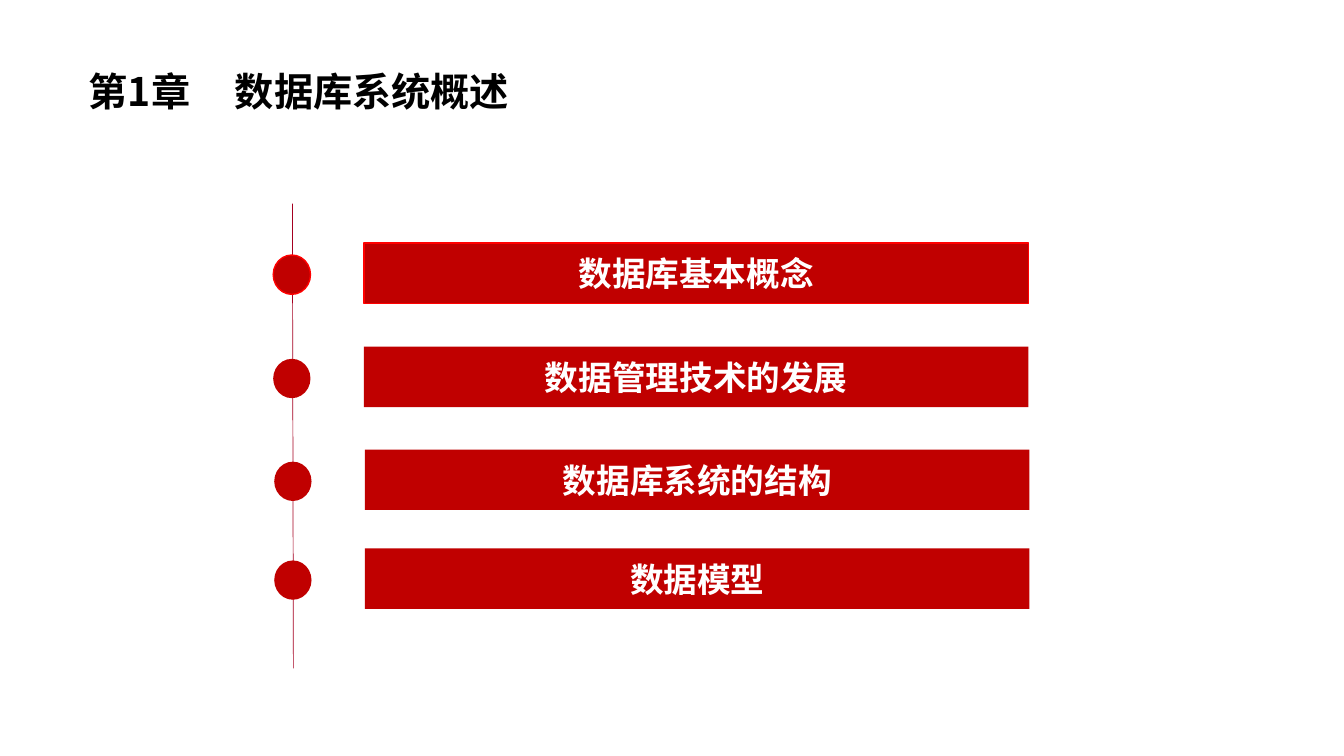
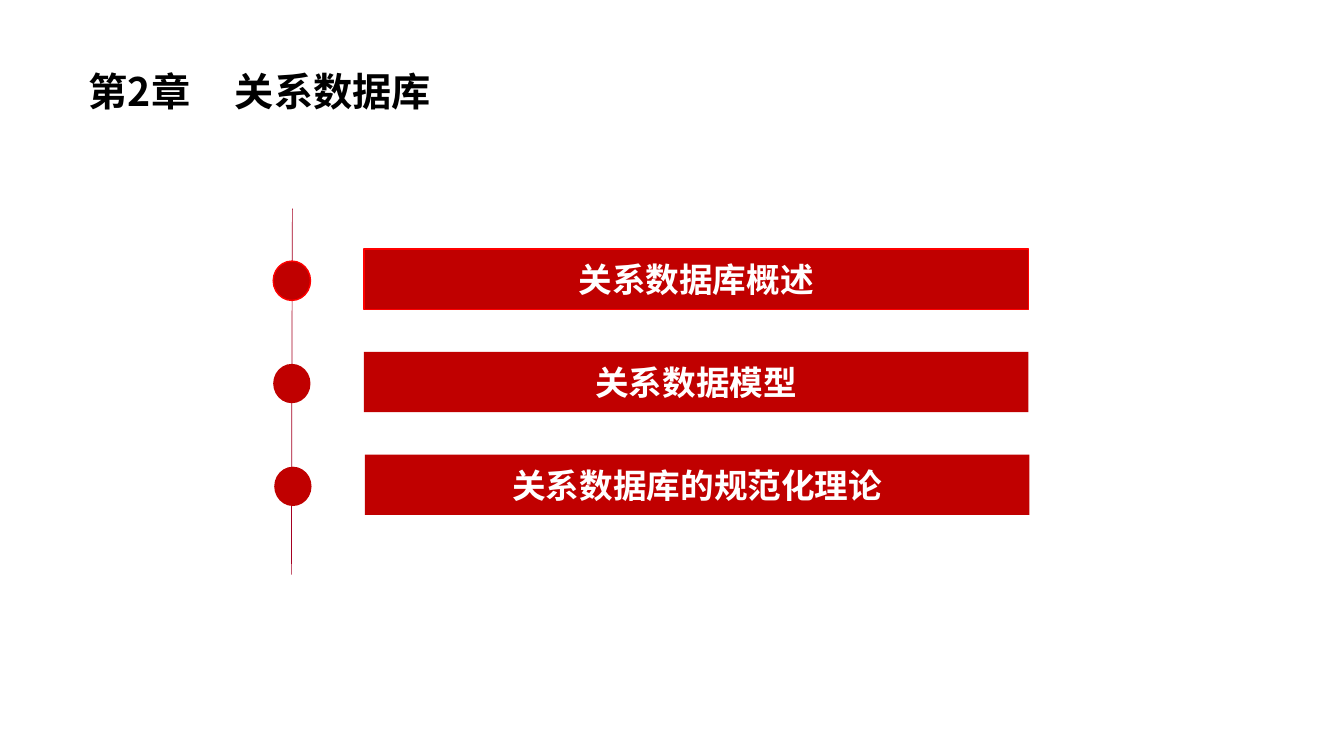
from lxml import etree
from pptx import Presentation
from pptx.dml.color import RGBColor
from pptx.enum import shapes, text
from pptx.oxml import ns
from pptx.util import Inches, Pt

# Shared style
FONT = "Noto Sans CJK SC"
HEX = {"fill": "C00000", "edge": "FF0000", "line": "A50021",
       "title": "000000", "label": "FFFFFF"}
BAR_W, BAR_H = 6.59, 0.6
DOT_W, DOT_H = 0.37, 0.39
DOT_DX, DOT_DY = -0.9, 0.12

# Chapters: name, heading, ends of the line, then (top, label) of each bar
CHAPTERS = [
    ("第1章", "数据库系统概述", (2.9, 2.02, 2.91, 6.63),
     [(2.41, "数据库基本概念"), (3.44, "数据管理技术的发展"),
      (4.46, "数据库系统的结构"), (5.44, "数据模型")]),
    ("第2章", "关系数据库", (2.9, 2.07, 2.89, 5.7),
     [(2.47, "关系数据库概述"), (3.49, "关系数据模型"),
      (4.51, "关系数据库的规范化理论")]),
]


def color(name):
    return RGBColor.from_string(HEX[name])


def write(shape, words, size, ink, align, before=0):
    frame = shape.text_frame
    frame.word_wrap = True
    frame.auto_size = text.MSO_AUTO_SIZE.NONE
    frame.vertical_anchor = text.MSO_ANCHOR.MIDDLE
    para = frame.paragraphs[0]
    para.alignment = align
    para.space_before = Pt(before)
    run = para.add_run()
    run.text = words
    font = run.font
    font.size, font.bold, font.name = Pt(size), True, FONT
    font.color.rgb = color(ink)
    east = etree.SubElement(run._r.get_or_add_rPr(), ns.qn("a:ea"))
    east.set("typeface", FONT)
    return para


def add_title(slide, name, heading):
    title = slide.shapes.title
    title.left, title.top = Inches(0.74), Inches(0.48)
    title.width, title.height = Inches(7.9), Inches(0.85)
    title.text_frame.margin_left = Inches(0.14)
    para = write(title, f"{name}\t{heading}", 28, "title",
                 text.PP_ALIGN.JUSTIFY)
    # A tab stop sets the gap after the chapter number
    tabs = etree.SubElement(para._p.get_or_add_pPr(), ns.qn("a:tabLst"))
    stop = etree.SubElement(tabs, ns.qn("a:tab"))
    stop.set("pos", str(Inches(1.45)))
    stop.set("algn", "l")


def add_line(slide, ends):
    line = slide.shapes.add_connector(shapes.MSO_CONNECTOR.STRAIGHT,
                                      *map(Inches, ends))
    line.line.color.rgb = color("line")
    line.line.width = Pt(0.5)
    etree.SubElement(line._element.spPr, ns.qn("a:effectLst"))


def add_block(slide, kind, box, edged):
    block = slide.shapes.add_shape(kind, *map(Inches, box))
    block.shadow.inherit = False
    block.fill.solid()
    block.fill.fore_color.rgb = color("fill")
    if edged:
        block.line.color.rgb = color("edge")
        block.line.width = Pt(1)
    else:
        block.line.fill.background()
    return block


def add_topic(slide, index, top, label):
    left = 3.61 if index < 2 else 3.62
    first = index == 0
    bar = add_block(slide, shapes.MSO_SHAPE.RECTANGLE,
                    (left, top, BAR_W, BAR_H), first)
    write(bar, label, 24, "label", text.PP_ALIGN.CENTER, before=10)
    add_block(slide, shapes.MSO_SHAPE.OVAL,
              (left + DOT_DX, top + DOT_DY, DOT_W, DOT_H), first)


def main():
    deck = Presentation()
    deck.slide_width, deck.slide_height = Inches(13.33), Inches(7.5)
    layout = deck.slide_layouts.get_by_name("Title Only")
    for name, heading, ends, topics in CHAPTERS:
        slide = deck.slides.add_slide(layout)
        add_title(slide, name, heading)
        add_line(slide, ends)
        for index, (top, label) in enumerate(topics):
            add_topic(slide, index, top, label)
    deck.save("out.pptx")


main()
